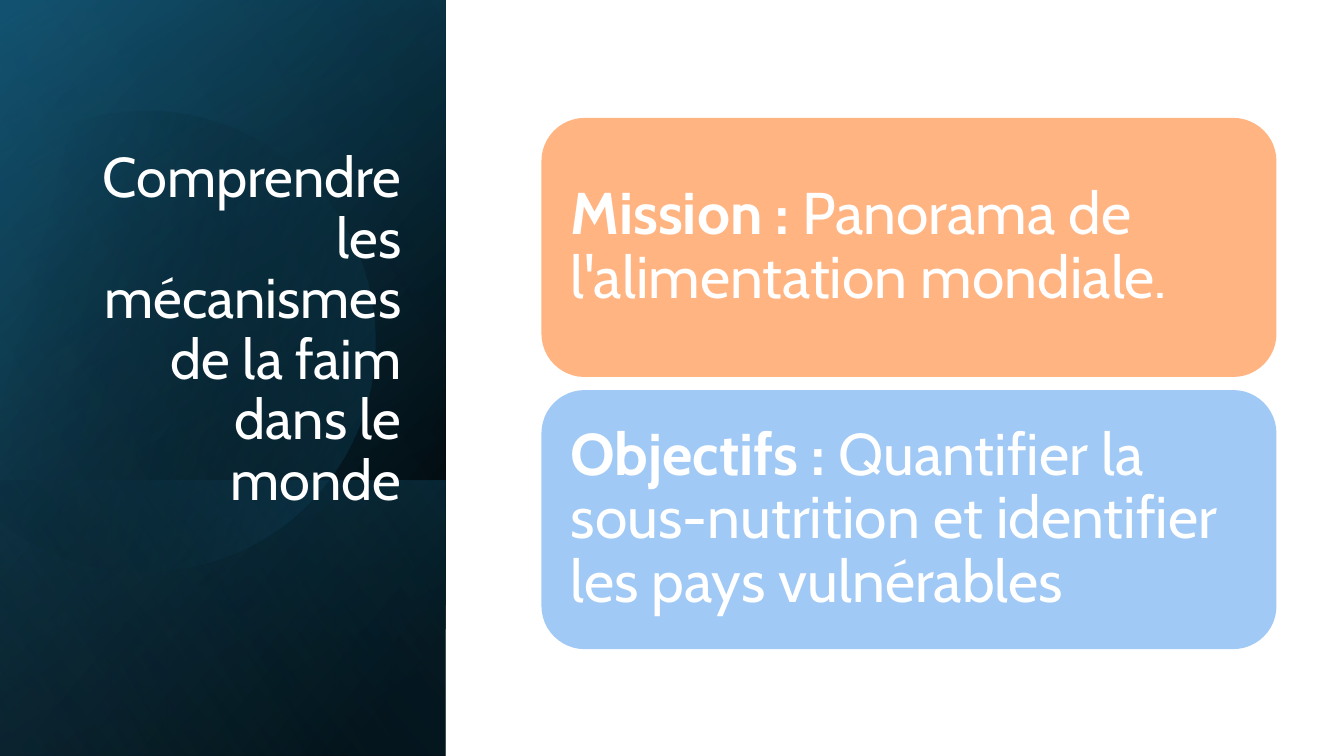
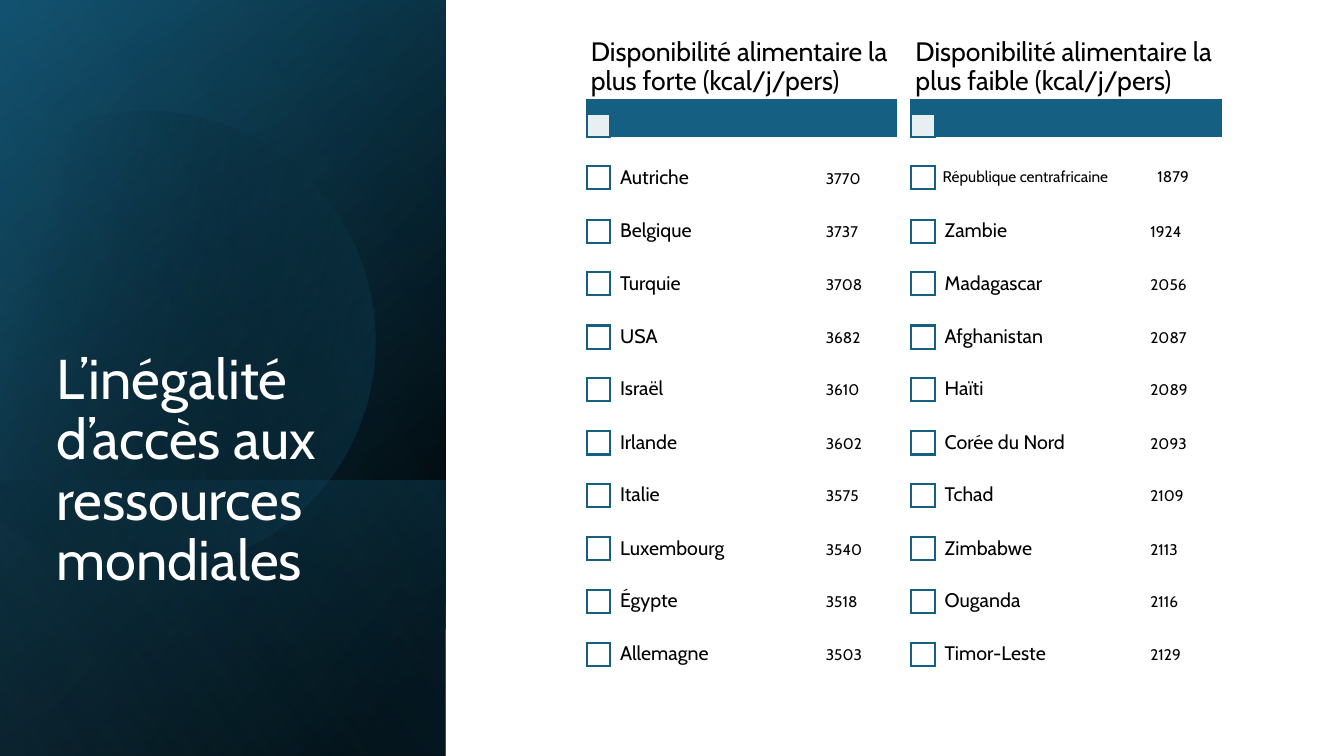
from math import cos, radians, sin

from lxml.etree import SubElement
from pptx import Presentation
from pptx.dml.color import RGBColor
from pptx.enum.shapes import MSO_SHAPE
from pptx.enum.text import MSO_ANCHOR, PP_ALIGN
from pptx.oxml.ns import qn
from pptx.util import Pt

SCALE = 9144
BLACK = RGBColor(0x00, 0x00, 0x00)
WHITE = RGBColor(0xFF, 0xFF, 0xFF)
BLUE = RGBColor(0x15, 0x60, 0x82)
DEEP = RGBColor(0x10, 0x48, 0x62)
SKY = RGBColor(0x46, 0xB1, 0xE1)
PEACH = RGBColor(0xFF, 0xB4, 0x82)
PALE = RGBColor(0xA1, 0xC9, 0xF5)

SHEET = (0, 0, 1333, 750)
PANEL = (0, 0, 442, 750)
FOOT = (0, 477, 442, 273)
SHADES = [
    (PANEL, 220, [(8, BLACK, 100), (100, DEEP, 100)]),
    (PANEL, 240, [(0, BLACK, 0), (99, BLUE, 46)]),
    (FOOT, 140, [(2, BLUE, 29), (100, BLACK, 30)]),
]
GLOW = (PANEL, 150, [(0, BLACK, 0), (99, SKY, 11)])
DISC = (-55, 106, 427, 457)
TURN = 343.9
DISC_TINT = (30, [(29, BLACK, 0), (100, BLUE, 43)])
DISC_PATH = [
    ("moveTo", [(149, 110)]),
    ("cubicBezTo", [(246, 112), (335, 177), (363, 275)]),
    ("cubicBezTo", [(398, 397), (328, 523), (207, 558)]),
    ("cubicBezTo", [(131, 580), (53, 561), (-3, 514)]),
    ("lnTo", [(-15, 503)]),
    ("lnTo", [(-15, 175)]),
    ("lnTo", [(0, 161)]),
    ("cubicBezTo", [(23, 142), (50, 128), (80, 119)]),
    ("cubicBezTo", [(103, 113), (126, 110), (149, 110)]),
    ("close", []),
]

CARDS = [
    (PEACH, "Mission :", " Panorama de l'alimentation mondiale."),
    (PALE, "Objectifs :", " Quantifier la sous-nutrition et identifier les pays vulnérables"),
]
LISTS = [
    ("Disponibilité alimentaire la plus forte (kcal/j/pers)", [
        ("Autriche", 3770), ("Belgique", 3737), ("Turquie", 3708),
        ("USA", 3682), ("Israël", 3610), ("Irlande", 3602),
        ("Italie", 3575), ("Luxembourg", 3540), ("Égypte", 3518),
        ("Allemagne", 3503)]),
    ("Disponibilité alimentaire la plus faible (kcal/j/pers)", [
        ("République centrafricaine", 1879), ("Zambie", 1924),
        ("Madagascar", 2056), ("Afghanistan", 2087), ("Haïti", 2089),
        ("Corée du Nord", 2093), ("Tchad", 2109), ("Zimbabwe", 2113),
        ("Ouganda", 2116), ("Timor-Leste", 2129)]),
]


def px(*sizes):
    return [size * SCALE for size in sizes]


def unturn(x, y):
    left, top, wide, high = DISC
    dx, dy = x - left - wide / 2, y - top - high / 2
    angle = radians(-TURN)
    return (wide / 2 + dx * cos(angle) - dy * sin(angle),
            high / 2 + dx * sin(angle) + dy * cos(angle))


class Deck:
    font = {"name": "Cabin", "bold": False}
    frame = {"word_wrap": True, "vertical_anchor": MSO_ANCHOR.MIDDLE}

    def __init__(self):
        self.file = Presentation()
        self.file.slide_width, self.file.slide_height = px(*SHEET[2:])
        self.slide = None

    def page(self, title, box, align, back=None):
        self.slide = self.file.slides.add_slide(self.file.slide_layouts[6])
        if back is not None:
            self.block(SHEET, back)
        for shade in SHADES:
            self.shade(*shade)
        self.disc()
        self.shade(*GLOW)
        self.text(box, [(title, {"size": Pt(40)})], WHITE, (10, 5), align,
                  vertical_anchor=MSO_ANCHOR.BOTTOM)

    def fade(self, shape, alphas):
        tints = shape._element.spPr.iter(qn("a:srgbClr"))
        for tint, alpha in zip(tints, alphas):
            if alpha < 100:
                SubElement(tint, qn("a:alpha"), val=str(alpha * 1000))

    def blend(self, shape, angle, stops):
        shape.shadow.inherit = False
        shape.line.fill.background()
        shape.fill.gradient()
        shape.fill.gradient_angle = 360 - angle
        for stop, (place, tint, _) in zip(shape.fill.gradient_stops, stops):
            stop.position = place / 100
            stop.color.rgb = tint
        self.fade(shape, [alpha for _, _, alpha in stops])

    def shade(self, box, angle, stops):
        shape = self.slide.shapes.add_shape(MSO_SHAPE.RECTANGLE, *px(*box))
        self.blend(shape, angle, stops)

    def disc(self):
        left, top, wide, high = DISC
        form = self.slide.shapes.build_freeform(left, top, scale=SCALE)
        form.add_line_segments([(left + wide, top), (left + wide, top + high)])
        shape = form.convert_to_shape()
        outline = next(shape._element.iter(qn("a:path")))
        outline.set("w", str(wide * SCALE))
        outline.set("h", str(high * SCALE))
        for part in list(outline):
            outline.remove(part)
        for kind, points in DISC_PATH:
            part = SubElement(outline, qn(f"a:{kind}"))
            for point in points:
                x, y = px(*unturn(*point))
                SubElement(part, qn("a:pt"), x=str(round(x)), y=str(round(y)))
        shape.rotation = TURN
        self.blend(shape, *DISC_TINT)

    def block(self, box, fill, line=None, alpha=100, kind=MSO_SHAPE.RECTANGLE):
        shape = self.slide.shapes.add_shape(kind, *px(*box))
        shape.shadow.inherit = False
        shape.fill.solid()
        shape.fill.fore_color.rgb = fill
        self.fade(shape, [alpha])
        if line is None:
            shape.line.fill.background()
        else:
            shape.line.color.rgb = line
            shape.line.width = Pt(1.5)
            edge = shape._element.spPr.find(qn("a:ln"))
            SubElement(edge, qn("a:miter"), lim="800000")

    def text(self, box, runs, tint, inset, align=PP_ALIGN.LEFT, tab=None, **form):
        frame = self.slide.shapes.add_textbox(*px(*box)).text_frame
        wide, high = px(*inset)
        sides = {"margin_left": wide, "margin_right": wide,
                 "margin_top": high, "margin_bottom": high}
        for key, value in {**self.frame, **sides, **form}.items():
            setattr(frame, key, value)
        para = frame.paragraphs[0]
        para.alignment = align
        para.line_spacing = 0.9
        if tab:
            tabs = SubElement(para._p.get_or_add_pPr(), qn("a:tabLst"))
            SubElement(tabs, qn("a:tab"), pos=str(tab * SCALE), algn="l")
        for words, style in runs:
            run = para.add_run()
            run.text = words
            run.font.color.rgb = tint
            for key, value in {**self.font, **style}.items():
                setattr(run.font, key, value)

    def card(self, top, fill, lead, rest):
        self.block((537, top, 729, 257), fill, kind=MSO_SHAPE.ROUNDED_RECTANGLE)
        size = {"size": Pt(42)}
        self.text((549, top + 12, 704, 233),
                  [(lead, {**size, "bold": True}), (rest, size)], WHITE, (17, 17))

    def list(self, left, head, rows):
        self.block((left, 99, 307, 36), BLUE, BLUE)
        self.block((left, 113, 23, 23), WHITE, BLUE, alpha=90)
        self.text((left, 34, 306, 65), [(head, {"size": Pt(19)})], BLACK, (4, 3))
        for rank, (land, value) in enumerate(rows):
            top = 165 + (rank * 525 + 5) // 10
            long = len(land) > 20
            size, inset, tab = (11, 9, 213) if long else (14, 11, 204)
            self.block((left, top, 23, 23), WHITE, BLUE)
            self.text((left + 22, top - 15, 285, 53),
                      [(land, {"size": Pt(size)}), (f"\t{value}", {"size": Pt(11)})],
                      BLACK, (inset, inset), tab=tab)


def main():
    deck = Deck()
    deck.page("Comprendre les mécanismes de la faim dans le monde",
              (43, 122, 365, 391), PP_ALIGN.RIGHT)
    for rank, card in enumerate(CARDS):
        deck.card(117 + rank * 270, *card)
    deck.page("L’inégalité d’accès aux ressources mondiales",
              (46, 223, 350, 370), PP_ALIGN.LEFT, back=WHITE)
    for rank, (head, rows) in enumerate(LISTS):
        deck.list(582 + rank * 322, head, rows)
    deck.file.save("out.pptx")


if __name__ == "__main__":
    main()
